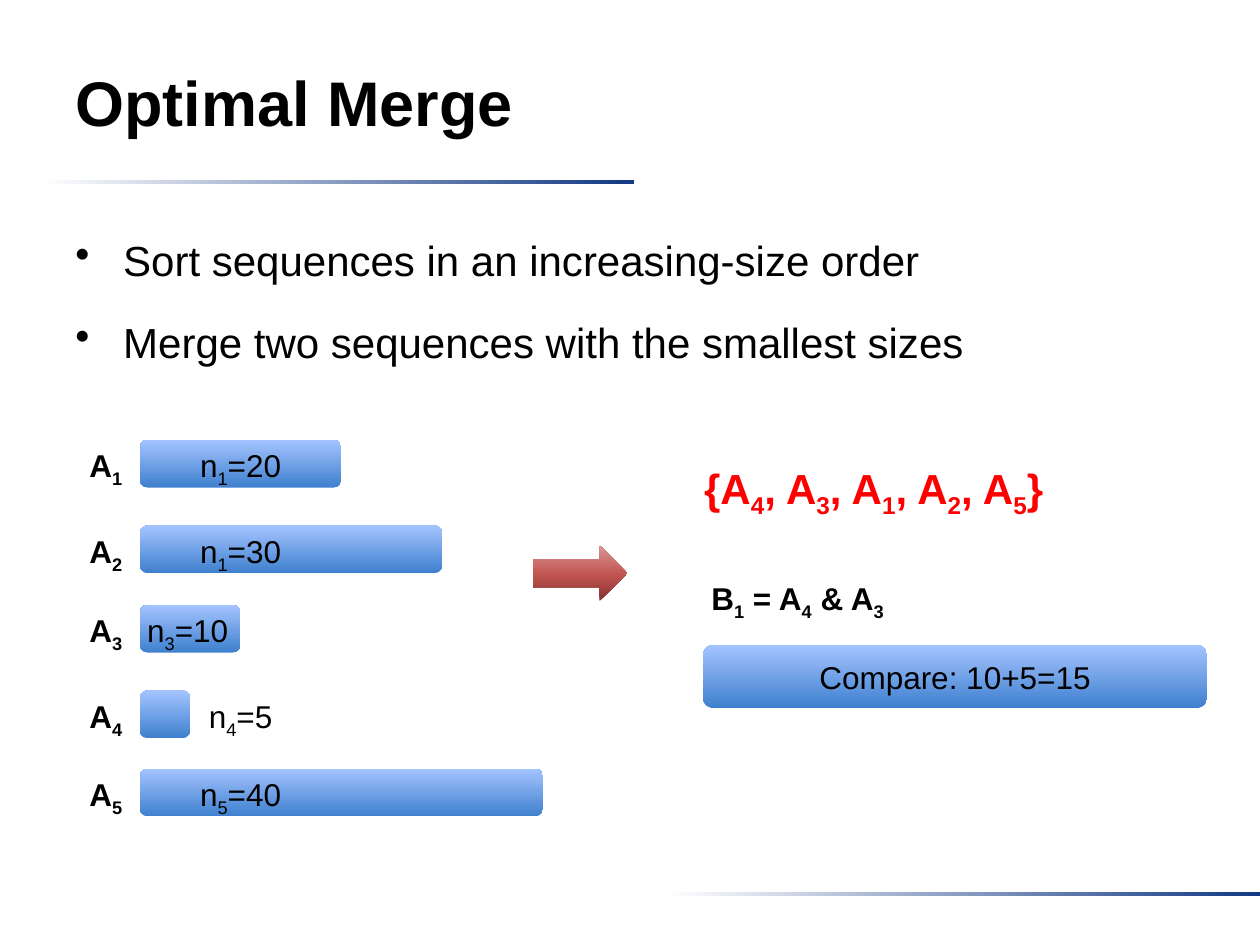
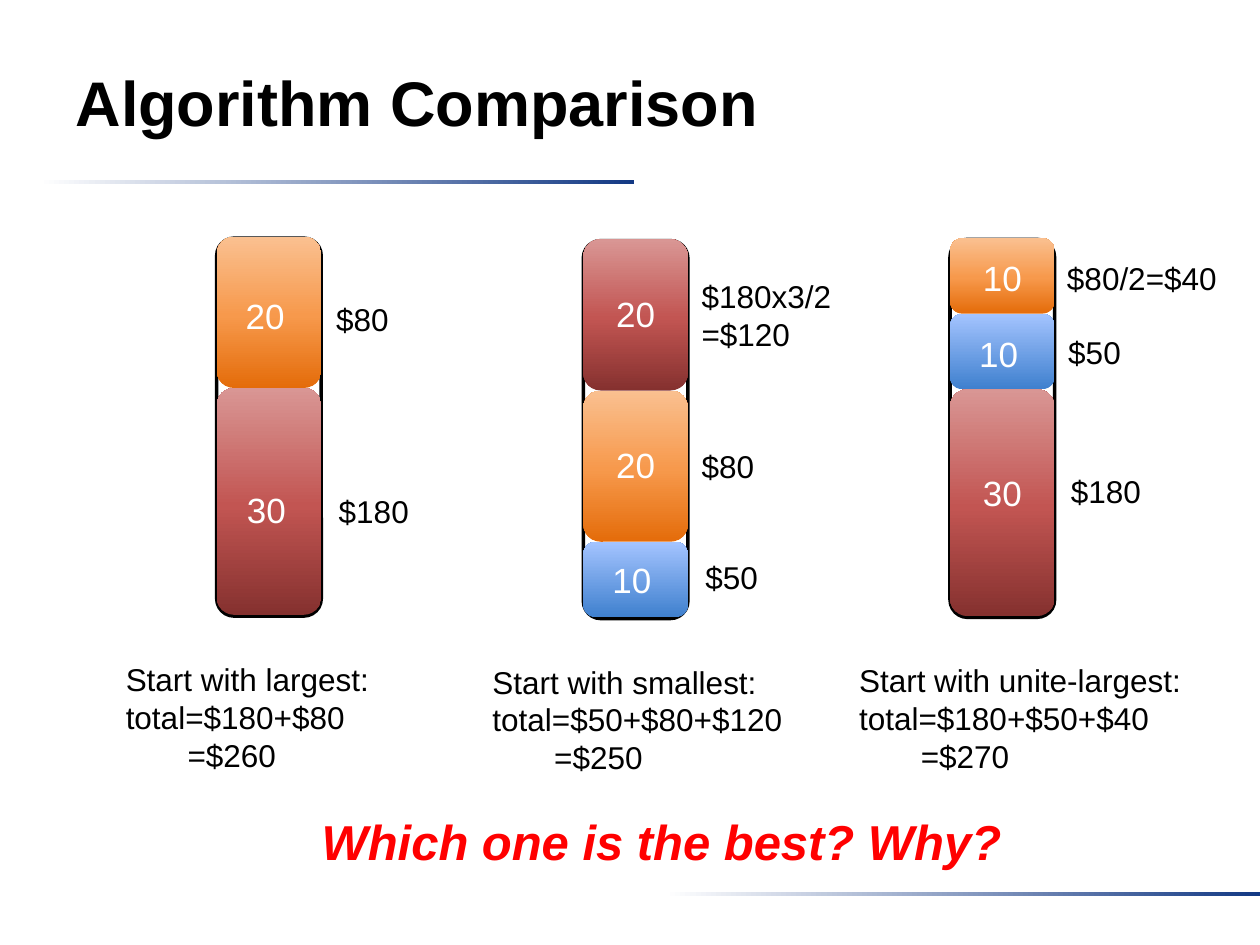
"""Build two slides on optimal merging of sorted sequences."""
import dataclasses

import pptx
import pptx.dml.color
import pptx.enum.shapes
import pptx.enum.text
import pptx.oxml
import pptx.oxml.ns
import pptx.util

SHAPE = pptx.enum.shapes.MSO_SHAPE
ALIGN = pptx.enum.text.PP_ALIGN
ANCHOR = pptx.enum.text.MSO_ANCHOR
COLUMNS, ROWS = 100, 75


@dataclasses.dataclass(frozen=True)
class Theme:
    font: str = "Arial"
    ink: str = "000000"
    accent: str = "FF0000"
    paper: str = "FFFFFF"
    band: tuple = ((0, "FFFFFF"), (100, "133984"))
    blue: tuple = ((0, "3F80CE"), (100, "A4C4FF"))
    red: tuple = ((0, "85312F"), (48, "C25552"), (100, "D99694"))
    orange: tuple = ((0, "E46C0A"), (48, "F7994C"), (100, "FAC090"))
    title: int = 36
    question: int = 28
    body: int = 24
    number: int = 20
    label: int = 18


THEME = Theme()


class Deck:
    """Hold the theme and the current slide, and place elements on its grid."""

    def __init__(self, theme):
        self.theme = theme
        self.show = pptx.Presentation()
        self.show.slide_width = pptx.util.Inches(10)
        self.show.slide_height = pptx.util.Inches(7.5)
        self.slide = None

    def at(self, col, row, cols, rows):
        column = self.show.slide_width / COLUMNS
        line = self.show.slide_height / ROWS
        return [round(v) for v in (col * column, row * line, cols * column, rows * line)]

    def new_slide(self, heading):
        self.slide = self.show.slides.add_slide(self.show.slide_layouts[5])
        for band in ((3.1, 14.3), (52.8, 70.8)):
            self.shape(SHAPE.RECTANGLE, (*band, 47.2, 0.3), self.theme.band, angle=0)
        title = self.slide.shapes.title
        title.left, title.top, title.width, title.height = self.at(5, 1.8, 77.3, 12.5)
        title.text_frame.auto_size = pptx.enum.text.MSO_AUTO_SIZE.NONE
        title.text_frame.vertical_anchor = ANCHOR.MIDDLE
        self.add_runs(title.text_frame.paragraphs[0], heading, self.theme.title, bold=True)

    def add_runs(self, paragraph, text, size, color=None, bold=False, italic=False,
                 align=ALIGN.LEFT):
        """Add runs; the character after each underscore is a subscript."""
        paragraph.alignment = align
        first, *rest = text.split("_")
        pieces = [(first, False)]
        for part in rest:
            pieces += [(part[0], True), (part[1:], False)]
        for words, lowered in pieces:
            if not words:
                continue
            run = paragraph.add_run()
            run.text = words
            font = run.font
            font.name, font.size = self.theme.font, pptx.util.Pt(size)
            font.bold, font.italic = bold, italic
            font.color.rgb = pptx.dml.color.RGBColor.from_string(color or self.theme.ink)
            if lowered:
                font._element.set("baseline", "-25000")

    def shape(self, kind, box, stops=None, angle=90):
        shape = self.slide.shapes.add_shape(kind, *self.at(*box))
        shape.shadow.inherit = False
        if not stops:
            shape.fill.background()
            shape.line.width = pptx.util.Pt(2)
            shape.line.color.rgb = pptx.dml.color.RGBColor.from_string(self.theme.ink)
            return shape
        shape.line.fill.background()
        shape.fill.gradient()
        shape.fill.gradient_angle = angle
        stop_list = shape._element.spPr.find(".//" + pptx.oxml.ns.qn("a:gsLst"))
        for stop in list(stop_list):
            stop_list.remove(stop)
        for place, color in stops:
            stop_list.append(pptx.oxml.parse_xml(
                f'<a:gs {pptx.oxml.ns.nsdecls("a")} pos="{place * 1000}">'
                f'<a:srgbClr val="{color}"/></a:gs>'))
        return shape

    def text(self, box, lines, size, **style):
        frame = self.slide.shapes.add_textbox(*self.at(*box)).text_frame
        frame.word_wrap = True
        for index, line in enumerate(lines):
            paragraph = frame.paragraphs[0] if index == 0 else frame.add_paragraph()
            self.add_runs(paragraph, line, size, **style)
        return frame.paragraphs

    def indent(self, paragraph, left, hanging=0):
        properties = paragraph._p.get_or_add_pPr()
        properties.set("marL", str(pptx.util.Inches(left)))
        properties.set("indent", str(-pptx.util.Inches(hanging)))
        return properties

    def bullets(self, box, lines):
        for index, paragraph in enumerate(self.text(box, lines, self.theme.body)):
            properties = self.indent(paragraph, 0.38, 0.38)
            paragraph.space_after = pptx.util.Pt(12)
            if index:
                paragraph.space_before = pptx.util.Pt(6)
            properties.append(pptx.oxml.parse_xml(
                f'<a:buChar {pptx.oxml.ns.nsdecls("a")} char="•"/>'))


def optimal_merge(deck):
    theme = deck.theme
    deck.new_slide("Optimal Merge")
    deck.bullets((5, 18.1, 90, 13), (
        "Sort sequences in an increasing-size order",
        "Merge two sequences with the smallest sizes"))

    sequences = (
        ("A_1", "n_1=20", 20, 34.9, 14.8),
        ("A_2", "n_1=30", 30, 41.7, 14.8),
        ("A_3", "n_3=10", 10, 48, 10.6),
        ("A_4", "n_4=5", 5, 54.8, 14.8),
        ("A_5", "n_5=40", 40, 61, 14.8))
    for name, length, size, row, length_col in sequences:
        deck.shape(SHAPE.ROUNDED_RECTANGLE, (11.1, row, size * 0.8, 3.8), theme.blue)
        deck.text((length_col, row, 8.6, 3.9), [length], theme.label, align=ALIGN.CENTER)
        deck.text((5.8, row, 5.2, 3.9), [name], theme.label, bold=True, align=ALIGN.CENTER)

    deck.shape(SHAPE.RIGHT_ARROW, (42.3, 43.3, 7.5, 4.4), theme.red)
    deck.text((54.9, 36.2, 31, 5), ["{A_4, A_3, A_1, A_2, A_5}"], theme.body,
              color=theme.accent, bold=True)
    merged = deck.shape(SHAPE.ROUNDED_RECTANGLE, (55.8, 51.2, 40, 5), theme.blue)
    deck.add_runs(merged.text_frame.paragraphs[0], "Compare: 10+5=15", theme.label,
                  align=ALIGN.CENTER)
    deck.text((54, 45.5, 18.6, 4), ["B_1 = A_4 & A_3"], theme.label, bold=True,
              align=ALIGN.CENTER)


def algorithm_comparison(deck):
    theme = deck.theme
    deck.new_slide("Algorithm Comparison")
    strategies = (
        (18.9, 48.8, ("Start with largest: total=$180+$80", "=$260"), (
            (30, theme.red, 16.6, 38.3, ["$180"], 25.9, 38.6),
            (20, theme.orange, 16.5, 22.9, ["$80"], 25.7, 23.3))),
        (19.1, 49, ("Start with smallest: total=$50+$80+$120", "=$250"), (
            (10, theme.blue, 45.6, 43.8, ["$50"], 55, 43.8),
            (20, theme.orange, 45.9, 34.7, ["$80"], 54.7, 35),
            (20, theme.red, 45.9, 22.7, ["$180x3/2", "=$120"], 54.7, 21.5))),
        (19, 48.9, ("Start with unite-largest:", "total=$180+$50+$40", "=$270"), (
            (30, theme.red, 75, 36.9, ["$180"], 84, 37),
            (10, theme.blue, 74.7, 25.9, ["$50"], 83.8, 25.9),
            (10, theme.orange, 75, 19.9, ["$80/2=$40"], 83.7, 20.1))))
    for index, (top, base, summary, items) in enumerate(strategies):
        left = 17.2 + index * 29.1
        deck.shape(SHAPE.ROUNDED_RECTANGLE, (left, top, 8.3, 30))
        for weight, tone, number_col, number_row, cost, cost_col, cost_row in items:
            height = weight * 0.6
            base -= height
            deck.shape(SHAPE.ROUNDED_RECTANGLE, (left, base, 8.3, height), tone)
            deck.text((number_col, number_row, 9.1, 4.4), [str(weight)], theme.number,
                      color=theme.paper, align=ALIGN.CENTER)
            deck.text((cost_col, cost_row, 15, 4), cost, theme.label)
        lines = deck.text((left - 8.2, top + 33, 29, 10.1), summary, theme.label)
        deck.indent(lines[-1], 0.49)
    deck.text((24.2, 63.9, 56.6, 5.7), ["Which one is the best? Why?"], theme.question,
              color=theme.accent, bold=True, italic=True, align=ALIGN.CENTER)


def main():
    deck = Deck(THEME)
    optimal_merge(deck)
    algorithm_comparison(deck)
    deck.show.save("out.pptx")


if __name__ == "__main__":
    main()
